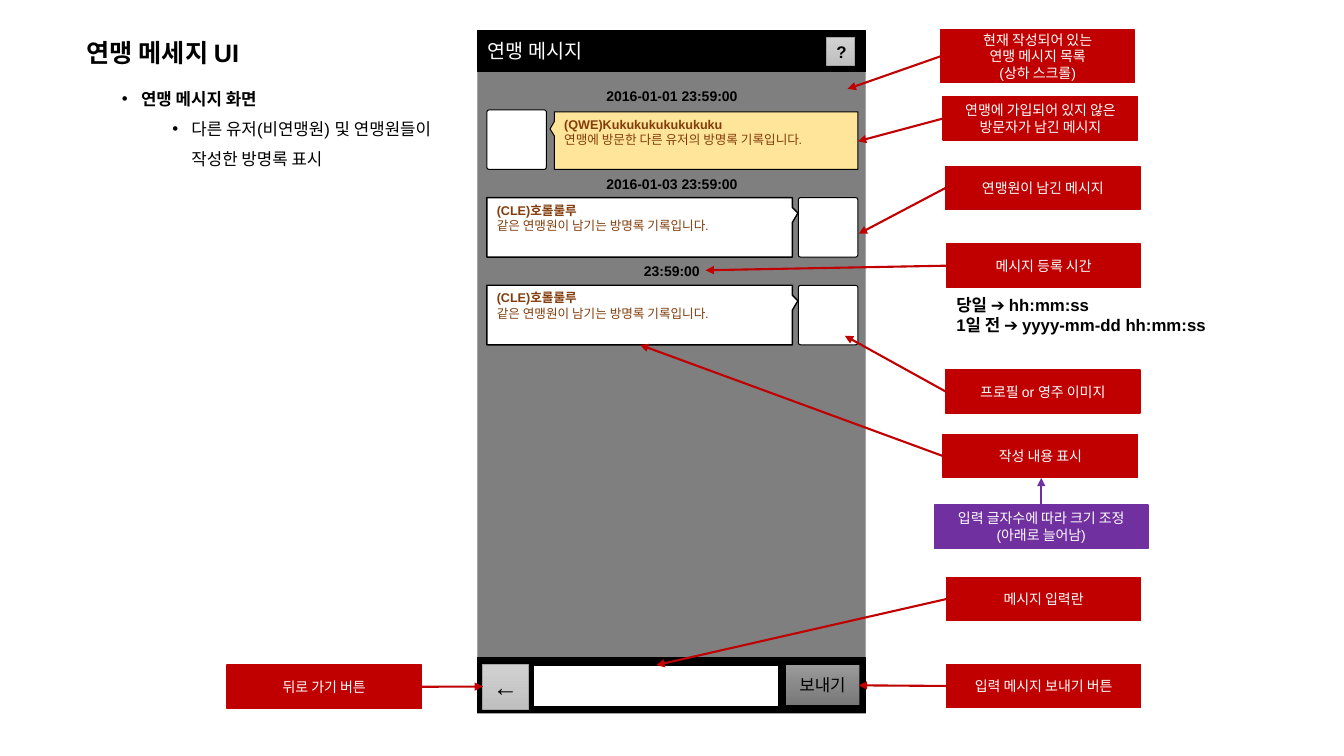
from dataclasses import dataclass

from lxml.etree import SubElement
from pptx import Presentation
from pptx.dml.color import RGBColor
from pptx.enum.shapes import MSO_CONNECTOR as Link, MSO_SHAPE as Kind
from pptx.enum.text import MSO_ANCHOR as Anchor, MSO_AUTO_SIZE as Fit, PP_ALIGN as Align
from pptx.oxml.ns import qn
from pptx.util import Cm, Pt


@dataclass(frozen=True)
class Theme:
    font: str = "Arial"
    black: str = "000000"
    white: str = "FFFFFF"
    gray: str = "7F7F7F"
    edge: str = "A5A5A5"
    brown: str = "833C0B"
    cream: str = "FEE599"
    red: str = "C00000"
    purple: str = "7030A0"
    light: tuple = ("D1D1D1", "C0C0C0")
    dark: tuple = ("9A9A9A", "787878")
    title: int = 18
    bar: int = 14
    body: int = 12
    label: int = 10
    chat: int = 9


THEME = Theme()
TOP, LEFT, RIGHT = 0, 1, 3


def rgb(code):
    return RGBColor.from_string(code)


def write(frame, lines, size, color=THEME.black, bold=False, align=Align.LEFT, anchor=Anchor.TOP):
    frame.word_wrap = True
    frame.auto_size = Fit.NONE
    frame.vertical_anchor = anchor
    frame.text = "\n".join(lines)
    for para in frame.paragraphs:
        para.alignment = align
        para.font.name = THEME.font
        para.font.size = Pt(size)
        para.font.bold = bold
        para.font.color.rgb = rgb(color)


def place(shape, x, y, w, h):
    shape.left, shape.top, shape.width, shape.height = Cm(x), Cm(y), Cm(w), Cm(h)


def note(slide, box, lines, size, align=Align.LEFT):
    shape = slide.shapes.add_textbox(*map(Cm, box))
    write(shape.text_frame, lines, size, bold=True, align=align)


def block(slide, box, fill, line=THEME.black, kind=Kind.RECTANGLE, width=0.75, adjust=()):
    shape = slide.shapes.add_shape(kind, *map(Cm, box))
    shape.shadow.inherit = False
    if isinstance(fill, tuple):
        shape.fill.gradient()
        shape.fill.gradient_angle = 270
        for stop, code in zip(shape.fill.gradient_stops, fill):
            stop.color.rgb = rgb(code)
    else:
        shape.fill.solid()
        shape.fill.fore_color.rgb = rgb(fill)
    shape.line.color.rgb = rgb(line)
    shape.line.width = Pt(width)
    for i, value in enumerate(adjust):
        shape.adjustments[i] = value
    return shape


def button(slide, box, text, fill, line, size, bold=False, **shape):
    part = block(slide, box, fill, line, **shape)
    write(part.text_frame, [text], size, bold=bold, align=Align.CENTER, anchor=Anchor.MIDDLE)


def arrow(slide, start, side, tip, color):
    line = slide.shapes.add_connector(Link.STRAIGHT, 0, 0, *map(Cm, tip))
    line.begin_connect(start, side)
    line.line.color.rgb = rgb(color)
    line.line.width = Pt(1.5)
    SubElement(line.line._get_or_add_ln(), qn("a:tailEnd"), type="triangle")
    SubElement(line._element.spPr, qn("a:effectLst"))


def heading(slide, x, y):
    title, body = slide.placeholders
    place(title, x, y, 4.85, 1.02)
    write(title.text_frame, ["연맹 메세지 UI"], THEME.title, bold=True)
    title.text_frame.word_wrap = False
    place(body, x + 0.89, y + 1.04, 8.92, 2.57)
    lines = ["연맹 메시지 화면", "다른 유저(비연맹원) 및 연맹원들이 작성한 방명록 표시"]
    frame = body.text_frame
    frame.text = "\n".join(lines)
    for level, para in enumerate(frame.paragraphs):
        para.level = level
        props = para._p.get_or_add_pPr()
        props.set("marL", str(Cm(0.48 + 1.27 * level)))
        props.set("indent", str(Cm(-0.48)))
        SubElement(props, qn("a:buFont"), typeface=THEME.font)
        SubElement(props, qn("a:buChar"), char="•")
        para.line_spacing = 1.5
        para.space_before = Pt(0)
        para.font.name = THEME.font
        para.font.size = Pt(THEME.body)
        para.font.bold = level == 0
        para.font.color.rgb = rgb(THEME.black)
    frame.auto_size = Fit.NONE


def message(slide, x, y, wide, date, name, text, guest):
    note(slide, (x, y, wide, 0.69), [date], THEME.label, Align.CENTER)
    y += 0.69
    face = x + (0.23 if guest else 8.08)
    block(slide, (face, y, 1.5, 1.5), THEME.white, kind=Kind.ROUNDED_RECTANGLE, adjust=[0.039])
    if guest:
        box, fill, width, adjust = (x + 1.93, y + 0.05, 7.65, 1.45), THEME.cream, 0.75, (-0.514, -0.203)
    else:
        box, fill, width, adjust = (x + 0.23, y, 7.7, 1.5), THEME.white, 1, (0.518, -0.239)
    talk = block(slide, box, fill, kind=Kind.RECTANGULAR_CALLOUT, width=width, adjust=adjust)
    write(talk.text_frame, [name, text], THEME.chat, THEME.brown)
    talk.text_frame.paragraphs[0].font.bold = True


def phone(slide, x, y, w, h):
    block(slide, (x, y, w, h), THEME.gray, THEME.edge)
    bar = block(slide, (x, y, w, 1.04), THEME.black)
    write(bar.text_frame, ["연맹 메시지"], THEME.bar, THEME.white, anchor=Anchor.MIDDLE)
    button(slide, (x + 8.79, y + 0.18, 0.71, 0.71), "?", THEME.light, THEME.edge, THEME.body, True)

    member = "(CLE)호롤룰루", "같은 연맹원이 남기는 방명록 기록입니다.", False
    guest = "(QWE)Kukukukukukukuku", "연맹에 방문한 다른 유저의 방명록 기록입니다.", True
    chats = [
        ("2016-01-01 23:59:00", guest),
        ("2016-01-03 23:59:00", member),
        ("23:59:00", member),
    ]
    for i, (date, chat) in enumerate(chats):
        message(slide, x, y + 1.32 + 2.21 * i, w, date, *chat)

    foot = y + h - 1.42
    block(slide, (x, foot, w, 1.4), THEME.black)
    button(slide, (x + 0.13, foot + 0.18, 1.14, 1.14), "←", THEME.light, THEME.edge, THEME.title)
    block(slide, (x + 1.4, foot + 0.2, 6.17, 1.04), THEME.white)
    button(slide, (x + 7.75, foot + 0.18, 1.88, 1.04), "보내기", THEME.dark, THEME.black,
           THEME.body, kind=Kind.ROUNDED_RECTANGLE, adjust=[0.004])


def label(slide, x, y, lines, tip, side=LEFT, w=4.9, h=1.09, color=THEME.red):
    tag = block(slide, (x, y, w, h), color, color, width=1)
    write(tag.text_frame, lines, THEME.label, THEME.white, align=Align.CENTER, anchor=Anchor.MIDDLE)
    arrow(slide, tag, side, tip, color)


def guide(slide, x, y):
    label(slide, x, y, ["현재 작성되어 있는", "연맹 메시지 목록", "(상하 스크롤)"], (21.36, 2.24), h=1.32)
    tags = [
        (0.07, 1.68, "연맹에 가입되어 있지 않은 방문자가 남긴 메시지", (21.62, 3.56)),
        (0.13, 3.43, "연맹원이 남긴 메시지", (21.64, 5.89)),
        (0.15, 5.39, "메시지 등록 시간", (17.78, 6.81)),
        (0.13, 8.56, "프로필 or 영주 이미지", (21.29, 8.46)),
        (0.07, 10.19, "작성 내용 표시", (16.13, 8.69)),
        (0.15, 13.79, "메시지 입력란", (16.54, 16.76)),
        (0.15, 15.98, "입력 메시지 보내기 버튼", (21.64, 17.27)),
    ]
    for dx, dy, text, tip in tags:
        label(slide, x + dx, y + dy, [text], tip)
    note(slide, (x + 0.15, y + 6.53, 7.34, 1.27),
         ["당일 ➔ hh:mm:ss", "1일 전 ➔ yyyy-mm-dd hh:mm:ss"], THEME.body)
    label(slide, x - 0.15, y + 11.97, ["입력 글자수에 따라 크기 조정", "(아래로 늘어남)"],
          (26.24, 12.04), TOP, w=5.38, color=THEME.purple)


def main():
    deck = Presentation()
    deck.slide_width, deck.slide_height = Cm(33.87), Cm(19.05)
    slide = deck.slides.add_slide(deck.slide_layouts[1])
    heading(slide, 1.93, 0.81)
    phone(slide, 12.04, 0.76, 9.78, 17.22)
    guide(slide, 23.7, 0.76)
    label(slide, 5.72, 16.76, ["뒤로 가기 버튼"], (12.17, 17.3), RIGHT)
    deck.save("out.pptx")


if __name__ == "__main__":
    main()
